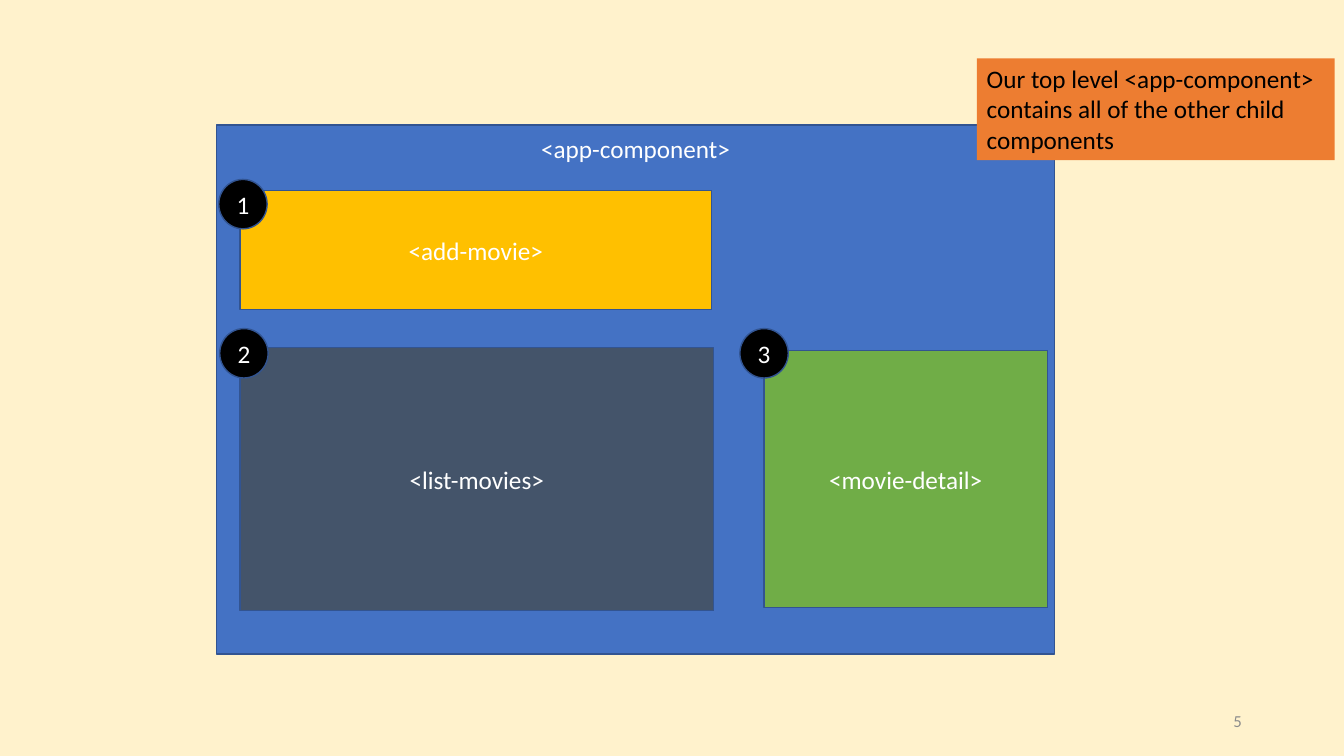
from dataclasses import dataclass

from pptx import Presentation
from pptx.dml.color import RGBColor
from pptx.enum.shapes import MSO_SHAPE
from pptx.enum.text import MSO_ANCHOR, PP_ALIGN
from pptx.shapes.autoshape import Shape
from pptx.slide import Slide
from pptx.util import Pt

RECT, OVAL = MSO_SHAPE.RECTANGLE, MSO_SHAPE.OVAL
TOP, MIDDLE = MSO_ANCHOR.TOP, MSO_ANCHOR.MIDDLE
LEFT, CENTER, RIGHT = PP_ALIGN.LEFT, PP_ALIGN.CENTER, PP_ALIGN.RIGHT


@dataclass(frozen=True)
class Theme:
    font: str = "Calibri"
    body_size: float = 18
    number_size: float = 12
    background: str = "FFF2CC"
    outline: str = "325491"
    light: str = "FFFFFF"
    dark: str = "000000"
    muted: str = "8C8C8C"
    app: str = "4472C4"
    movie_list: str = "44546A"
    add_form: str = "FFC000"
    detail: str = "70AD47"
    callout: str = "ED7D31"


THEME = Theme()


@dataclass(frozen=True)
class Box:
    """A filled shape with centred text; lengths in points."""
    text: str
    left: float
    top: float
    width: float
    height: float
    fill: str
    kind: MSO_SHAPE = RECT
    anchor: MSO_ANCHOR = MIDDLE
    align: PP_ALIGN = CENTER
    color: str = THEME.light
    outlined: bool = True


def rgb(value: str) -> RGBColor:
    return RGBColor.from_string(value)


def set_text(sp: Shape, text: str, size: float, color: str,
             align: PP_ALIGN, anchor: MSO_ANCHOR) -> None:
    tf = sp.text_frame
    tf.word_wrap = True
    tf.vertical_anchor = anchor
    p = tf.paragraphs[0]
    p.text = text
    p.alignment = align
    p.font.name = THEME.font
    p.font.size = Pt(size)
    p.font.color.rgb = rgb(color)


def add_box(s: Slide, box: Box) -> Shape:
    sp = s.shapes.add_shape(box.kind, Pt(box.left), Pt(box.top),
                            Pt(box.width), Pt(box.height))
    sp.shadow.inherit = False
    sp.fill.solid()
    sp.fill.fore_color.rgb = rgb(box.fill)
    if box.outlined:
        sp.line.color.rgb = rgb(THEME.outline)
        sp.line.width = Pt(1)
    else:
        sp.line.fill.background()
    set_text(sp, box.text, THEME.body_size, box.color, box.align, box.anchor)
    return sp


def add_badge(s: Slide, number: int, left: float, top: float) -> None:
    add_box(s, Box(str(number), left, top, 34.56, 35.28, THEME.dark, OVAL))


def add_slide_number(s: Slide, number: int) -> None:
    sp = s.shapes.add_textbox(Pt(678.24), Pt(500.4), Pt(216), Pt(28.8))
    set_text(sp, str(number), THEME.number_size, THEME.muted, RIGHT, MIDDLE)


APP = Box("<app-component>", 154.8, 89.28, 598.32, 378, THEME.app, anchor=TOP)
CHILDREN = (
    Box("<list-movies>", 171.36, 248.4, 338.4, 187.92, THEME.movie_list),
    Box("<add-movie>", 171.36, 136.08, 336.96, 84.96, THEME.add_form),
    Box("<movie-detail>", 545.76, 250.56, 202.32, 183.6, THEME.detail),
)
CALLOUT = Box(
    "Our top level <app-component> contains all of the other child components",
    697.68, 41.76, 255.6, 72.72, THEME.callout,
    anchor=TOP, align=LEFT, color=THEME.dark, outlined=False)
BADGES = ((1, 156.24, 128.16), (2, 156.96, 234.72), (3, 528.48, 234.72))


def main() -> None:
    prs = Presentation()
    prs.slide_width, prs.slide_height = Pt(960), Pt(540)
    s = prs.slides.add_slide(prs.slide_layouts[6])
    s.background.fill.solid()
    s.background.fill.fore_color.rgb = rgb(THEME.background)

    add_slide_number(s, 5)

    # Parent component with its heading at the top
    app = add_box(s, APP)
    app.text_frame.margin_top = Pt(6)

    # Child components and the explanation
    for box in (*CHILDREN, CALLOUT):
        add_box(s, box)

    # Numbered badges on the children's corners
    for number, left, top in BADGES:
        add_badge(s, number, left, top)

    prs.save("out.pptx")


if __name__ == "__main__":
    main()
